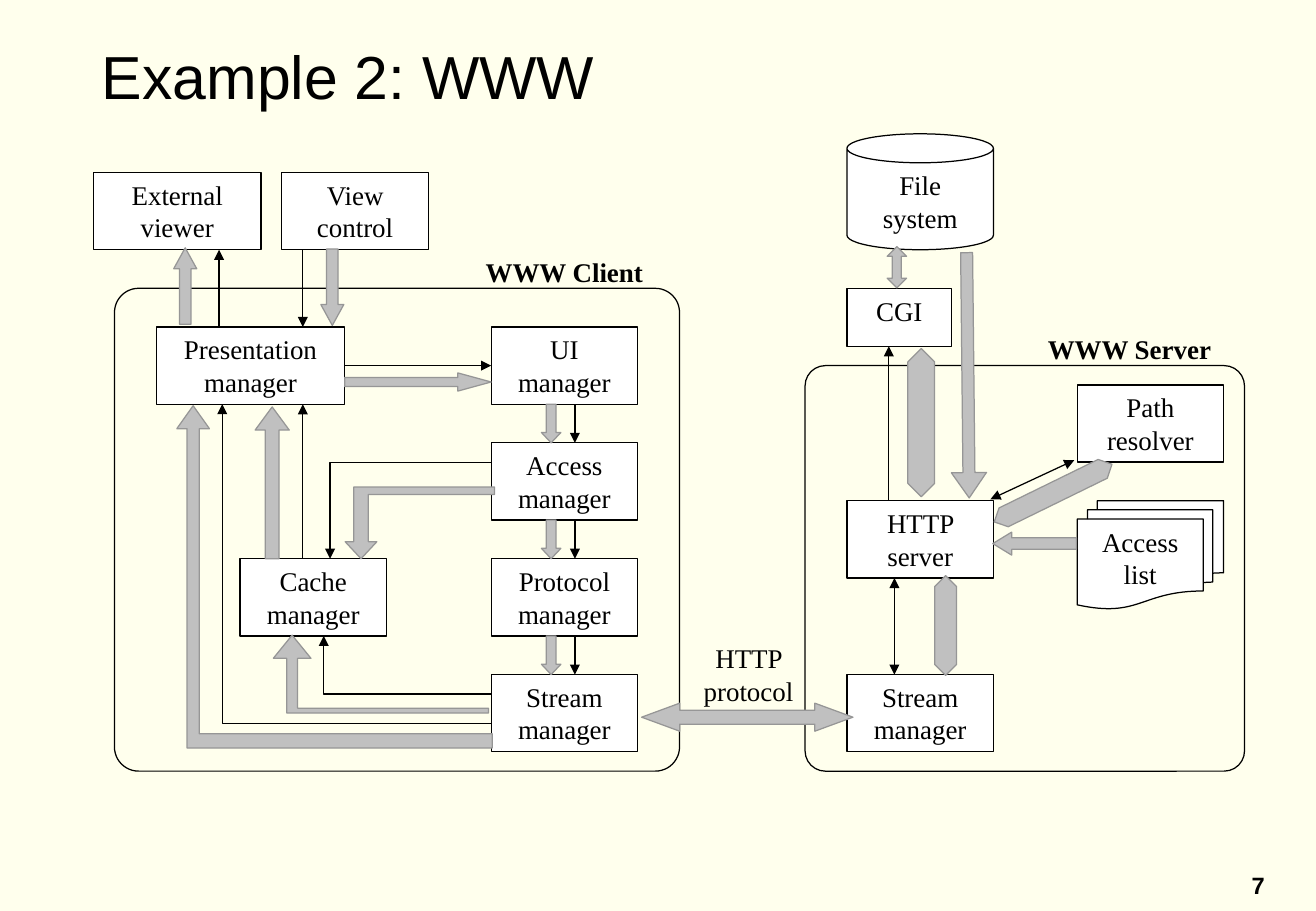
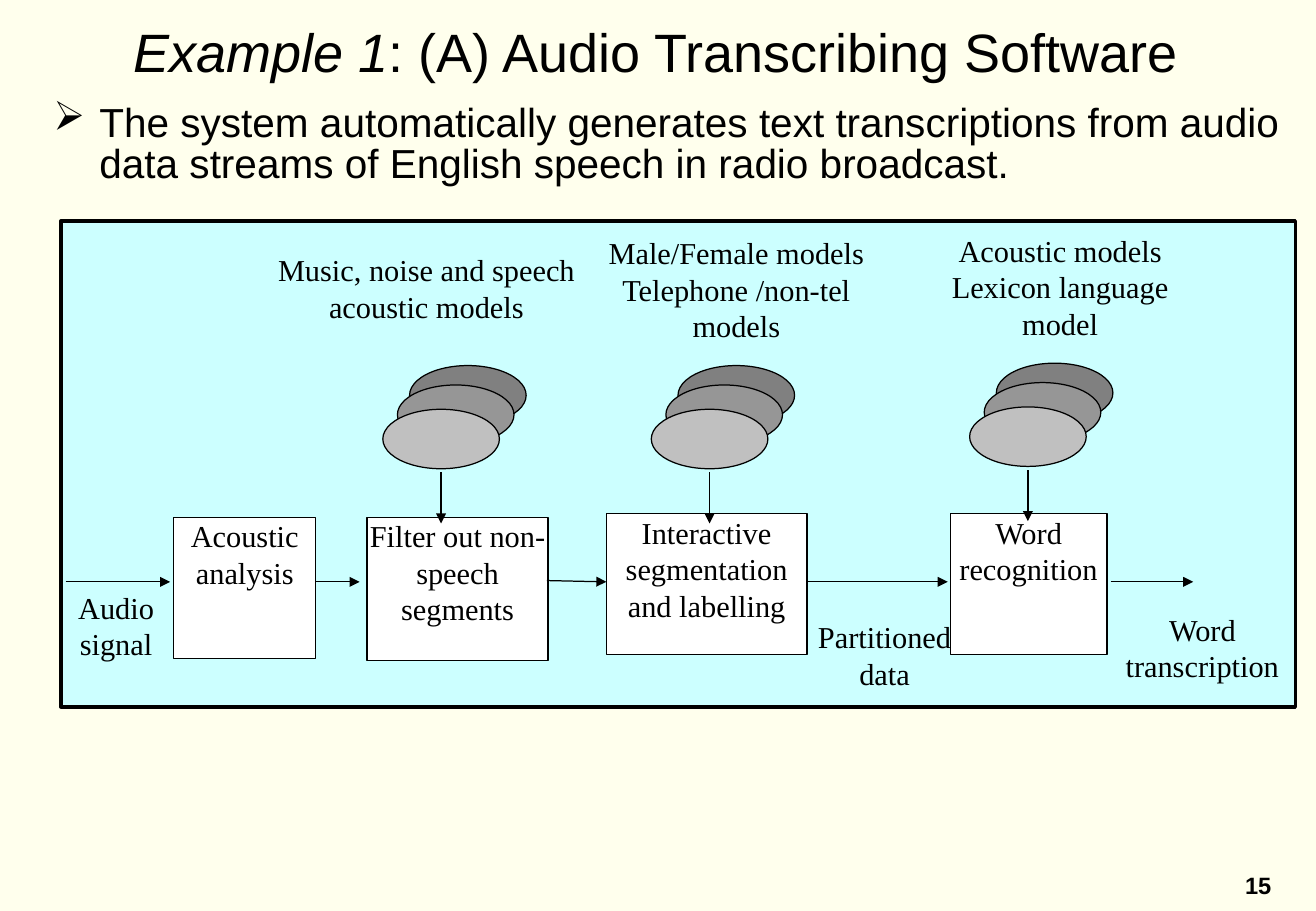
from dataclasses import dataclass
from typing import Any

from pptx import Presentation
from pptx.dml.color import RGBColor as RGB
from pptx.enum.shapes import MSO_CONNECTOR as LINK, MSO_SHAPE as KIND
from pptx.enum.text import MSO_ANCHOR as ANCHOR, PP_ALIGN as ALIGN
from pptx.oxml.ns import qn
from pptx.util import Inches, Pt
from lxml.etree import SubElement as Sub

WIDE, HIGH = 10.83, 7.5
SANS, SERIF = "Arial", "Times New Roman"
HEX = {
    "page": "FFFFED", "ink": "000000", "box": "FFFFFF", "panel": "CCFFFF",
    "light": "C0C0C0", "mid": "969696", "dark": "808080",
}


@dataclass
class Grid:
    slide: Any
    left: float = 0
    top: float = 0
    col: float = WIDE / 100
    row: float = HIGH / 100

    def point(self, x, y):
        return Inches(self.left + x * self.col), Inches(self.top + y * self.row)

    def frame(self, x, y, w, h):
        return (*self.point(x, y), Inches(w * self.col), Inches(h * self.row))


def tint(name):
    return RGB.from_string(HEX[name])


def paint(shape, fill, line="ink", width=0.75):
    shape.shadow.inherit = False
    if fill:
        shape.fill.solid()
        shape.fill.fore_color.rgb = tint(fill)
    else:
        shape.fill.background()
    shape.line.color.rgb = tint(line)
    shape.line.width = Pt(width)
    return shape


def tip(shape, *ends):
    line = shape._element.spPr.find(qn("a:ln"))
    for end in ends:
        Sub(line, qn(f"a:{end}"), type="triangle")


def style(para, size, font, align=ALIGN.CENTER, bold=False):
    para.alignment = align
    para.font.size = Pt(size)
    para.font.name = font
    para.font.bold = bold
    para.font.color.rgb = tint("ink")


def write(shape, text, size, font=SERIF, bold=False, flush=False):
    frame = shape.text_frame
    frame.word_wrap = True
    frame.vertical_anchor = ANCHOR.TOP
    if flush:
        frame.margin_left = frame.margin_right = 0
        frame.margin_top = frame.margin_bottom = 0
    frame.text = text
    for para in frame.paragraphs:
        style(para, size, font, bold=bold)


def label(grid, box, text, size, **look):
    shape = grid.slide.shapes.add_textbox(*grid.frame(*box))
    write(shape, text, size, **look)


def solid(grid, kind, box, fill="box", line="ink", width=0.75, adj=(), turn=0):
    shape = grid.slide.shapes.add_shape(kind, *grid.frame(*box))
    for i, value in enumerate(adj):
        shape.adjustments[i] = value
    shape.rotation = turn
    return paint(shape, fill, line, width)


def node(grid, box, text, size, kind=KIND.RECTANGLE, flush=False):
    write(solid(grid, kind, box), text, size, flush=flush)


def link(grid, x1, y1, x2, y2, both=False):
    start, end = grid.point(x1, y1), grid.point(x2, y2)
    line = grid.slide.shapes.add_connector(LINK.STRAIGHT, *start, *end)
    line.line.color.rgb = tint("ink")
    line.line.width = Pt(0.75)
    tip(line, *(["headEnd"] if both else []), "tailEnd")
    Sub(line._element.spPr, qn("a:effectLst"))


def trace(grid, points, fill, line, close):
    first, *rest = [grid.point(*point) for point in points]
    path = grid.slide.shapes.build_freeform(*first, scale=1.0)
    path.add_line_segments(rest, close=close)
    return paint(path.convert_to_shape(), fill, line)


def elbow(grid, x, y, to_x, to_y):
    line = trace(grid, [(x, y), (to_x, y), (to_x, to_y)], None, "ink", False)
    tip(line, "tailEnd")


def bend(grid, x, y, head, stem, neck, inner, outer, end):
    points = [
        (x, y), (x + head, neck), (x + stem, neck), (x + stem, inner),
        (end, inner), (end, outer), (x - stem, outer), (x - stem, neck),
        (x - head, neck),
    ]
    trace(grid, points, "light", "mid", True)


def stack(grid, x, y):
    for dx, dy, fill in ((2.03, -4.8, "dark"), (1.11, -2.67, "mid"), (0, 0, "light")):
        solid(grid, KIND.OVAL, (x + dx, y + dy, 8.86, 6.53), fill)
    link(grid, x + 4.43, y + 6.93, x + 4.43, y + 12.53)


def title(grid, box, runs, size, align):
    frame = grid.slide.shapes.add_textbox(*grid.frame(*box)).text_frame
    frame.word_wrap = True
    frame.vertical_anchor = ANCHOR.MIDDLE
    para = frame.paragraphs[0]
    for text, slant in runs:
        run = para.add_run()
        run.text = text
        run.font.italic = slant
    style(para, size, SANS, align)


def bullet(grid, box, text):
    frame = grid.slide.shapes.add_textbox(*grid.frame(*box)).text_frame
    frame.word_wrap = True
    para = frame.paragraphs[0]
    para.text = text
    para.line_spacing = 0.85
    props = para._p.get_or_add_pPr()
    props.set("marL", str(Inches(0.38)))
    props.set("indent", str(Inches(-0.38)))
    Sub(props, qn("a:buChar"), char="➢")
    style(para, 24, SANS, ALIGN.LEFT)


def page(deck, number):
    slide = deck.slides.add_slide(deck.slide_layouts[6])
    slide.background.fill.solid()
    slide.background.fill.fore_color.rgb = tint("page")
    grid = Grid(slide)
    label(grid, (93.26, 94.93, 4.71, 4.4), number, 14, font=SANS, bold=True)
    return grid


def web(deck):
    base = page(deck, "7")
    title(base, (6.83, 2.27, 86.15, 12), [("Example 2: WWW", False)], 36, ALIGN.LEFT)
    grid = Grid(base.slide, 0.77, 1.42, 6.2 / 36, 4.77 / 30)
    for x, y, w, h, text in (
        (0, 0, 8, 4, "External viewer"), (9, 0, 7, 4, "View control"),
        (3, 8, 9, 4, "Presentation manager"), (19, 8, 7, 4, "UI manager"),
        (19, 14, 7, 4, "Access manager"), (19, 20, 7, 4, "Protocol manager"),
        (19, 26, 7, 4, "Stream manager"), (7, 20, 7, 4, "Cache manager"),
        (36, 6, 5, 3, "CGI"), (36, 17, 7, 4, "HTTP server"),
        (47, 11, 7, 4, "Path resolver"), (36, 26, 7, 4, "Stream manager"),
    ):
        node(grid, (x, y, w, h), text, 16)
    node(grid, (36, -2, 7, 6), "File system", 16, KIND.CAN)
    node(grid, (47, 17, 7, 5.6), "Access list", 16, KIND.FLOWCHART_MULTIDOCUMENT)

    for box in ((1, 6, 27, 25), (34, 10, 21, 21)):
        solid(grid, KIND.ROUNDED_RECTANGLE, box, None, adj=[0.05])
    for x, y, text in ((17, 4, "WWW Client"), (44, 8, "WWW Server")):
        label(grid, (x, y, 11, 3), text, 16, bold=True)
    label(grid, (27.3, 24, 8, 4), "HTTP protocol", 16)

    for ends in (
        (10, 20, 10, 12), (12, 10, 19, 10), (6, 8, 6, 4), (10, 4, 10, 8),
        (38, 17, 38, 9), *((23, y, 23, y + 2) for y in (12, 18, 24)),
    ):
        link(grid, *ends)
    link(grid, 38.27, 21, 38.27, 26, both=True)
    link(grid, 46.86, 14.9, 42.86, 16.92, both=True)
    for turn in ((19, 15, 11.3, 20), (19, 27, 11, 24), (19, 28.55, 6.15, 12)):
        elbow(grid, *turn)

    down, both = KIND.DOWN_ARROW, KIND.UP_DOWN_ARROW
    for kind, box, thick, head, turn in (
        (down, (10.86, 3.96, 1.1, 3.96), 0.5, 0.91, 0),
        (KIND.UP_ARROW, (3.83, 3.9, 1.1, 3.96), 0.5, 0.91, 0),
        (KIND.UP_ARROW, (7.72, 12.14, 1.63, 7.86), 0.4, 0.68, 0),
        (KIND.RIGHT_ARROW, (12, 10.38, 7, 0.94), 0.5, 1.83, 0),
        *((down, (21.4, y, 0.93, 2), 0.5, 0.53, 0) for y in (12, 18, 24)),
        (KIND.LEFT_RIGHT_ARROW, (26.19, 27.48, 10.1, 1.45), 0.5, 1.36, 0),
        (both, (37.92, 3.84, 0.93, 2.14), 0.5, 0.46, 0),
        (both, (38.91, 9.12, 1.28, 7.67), 0.5, 1.2, 0),
        (down, (40.94, 4.15, 1.68, 12.7), 0.34, 0.72, 359.4),
        (KIND.LEFT_ARROW, (42.97, 18.62, 4, 1.19), 0.5, 0.82, 0),
        (both, (40.19, 20.88, 1.05, 5.16), 0.5, 1.02, 0),
        (both, (45.35, 13.21, 1, 6.79), 0.5, 1.16, 63.9),
    ):
        solid(grid, kind, box, "light", "mid", adj=[thick, head], turn=turn)
    bend(grid, 9.49, 23.96, 0.9, 0.26, 25.16, 27.74, 27.99, 18.87)
    bend(grid, 4.76, 12.08, 0.78, 0.29, 13.27, 29.06, 29.81, 19.05)
    bend(grid, 12.78, 20, 0.76, 0.35, 19.12, 16.67, 16.29, 19.16)


def audio(deck):
    grid = page(deck, "15")
    solid(grid, KIND.RECTANGLE, (4.62, 24.27, 93.81, 53.33), "panel", width=2)
    runs = [("Example 1", True), (": (A) Audio Transcribing Software", False)]
    title(grid, (4.06, 1.73, 91.6, 7.73), runs, 32, ALIGN.CENTER)
    bullet(grid, (3.14, 10.8, 95.29, 12.8),
           "The system automatically generates text transcriptions from audio "
           "data streams of English speech in radio broadcast.")

    for x, y, w, h, text in (
        (13.2, 56.8, 10.8, 15.47, "Acoustic analysis"),
        (27.89, 56.8, 13.76, 15.73, "Filter out non-speech segments"),
        (46.08, 56.4, 15.24, 15.47, "Interactive segmentation and labelling"),
        (72.21, 56.4, 11.91, 15.47, "Word recognition"),
    ):
        node(grid, (x, y, w, h), text, 18, flush=True)
    for x, y, w, h, text in (
        (4.62, 64.67, 8.4, 8.53, "Audio signal"),
        (61.31, 67.87, 11.82, 8.4, "Partitioned data"),
        (84.95, 67.07, 12.83, 9.47, "Word transcription"),
        (20.13, 27.6, 24.56, 10.93, "Music, noise and speech acoustic models"),
        (45.8, 25.73, 20.31, 14, "Male/Female models Telephone /non-tel models"),
        (70.54, 25.47, 20.04, 14.13, "Acoustic models\nLexicon language model"),
    ):
        label(grid, (x, y, w, h), text, 18, flush=True)

    for x, end in ((4.99, 12.93), (24.01, 27.33), (61.31, 72.02), (84.39, 90.67)):
        link(grid, x, 63.87, end, 63.87)
    link(grid, 41.55, 63.73, 46.08, 63.87)
    for x, y in ((29.09, 44.93), (49.49, 44.93), (73.68, 44.67)):
        stack(grid, x, y)


def main():
    deck = Presentation()
    deck.slide_width, deck.slide_height = Inches(WIDE), Inches(HIGH)
    web(deck)
    audio(deck)
    deck.save("out.pptx")


if __name__ == "__main__":
    main()
